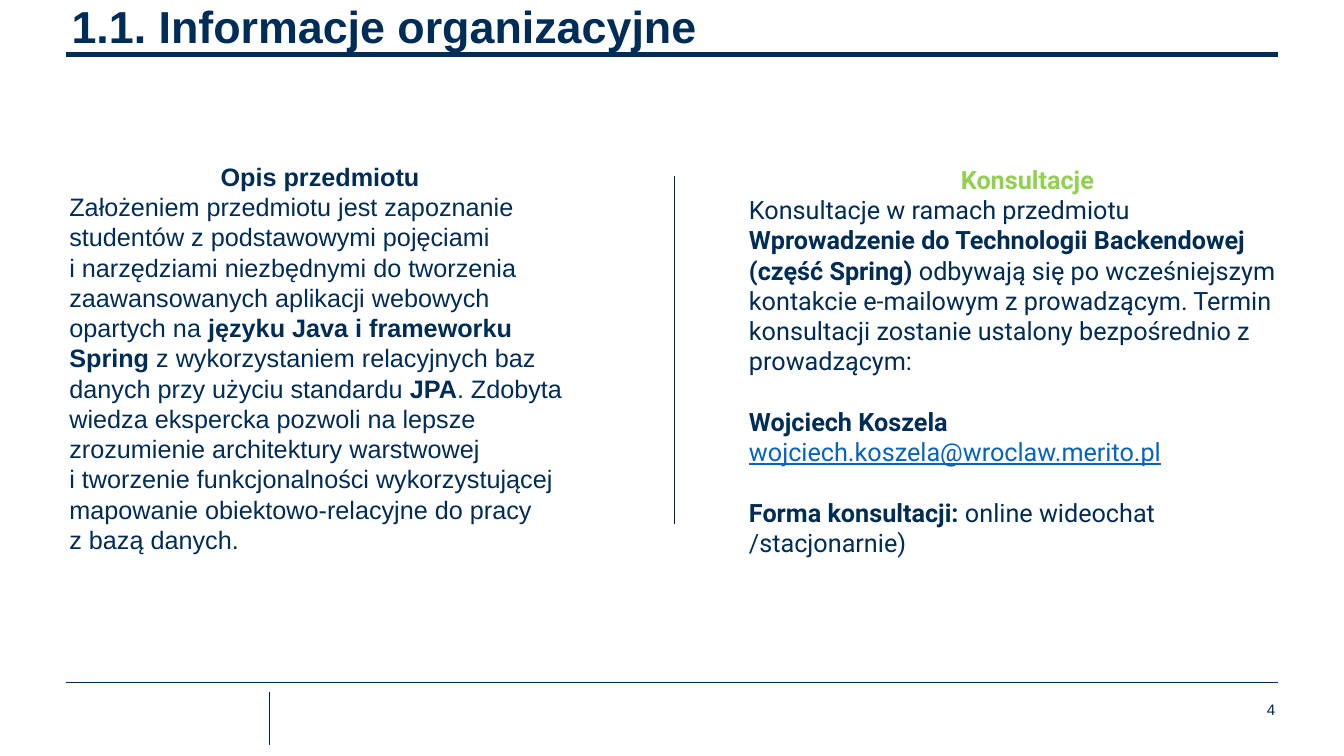
import pptx
import pptx.util
import pptx.dml.color
import pptx.enum.shapes
import pptx.enum.text
import pptx.oxml.ns
import lxml.etree

Inches = pptx.util.Inches
Pt = pptx.util.Pt
ALIGN = pptx.enum.text.PP_ALIGN
ANCHOR = pptx.enum.text.MSO_ANCHOR

COLORS = {
    "navy": "002C58",
    "divider": "002142",
    "green": "92D050",
    "address": "0563C1",
}


def color(name):
    return pptx.dml.color.RGBColor.from_string(COLORS[name])


def add_text(para, text, font="Arial", size=18, ink="navy", bold=False, underline=False):
    for index, line in enumerate(text.split("\n")):
        if index:
            para.add_line_break()
        span = para.add_run()
        span.text = line
        span.font.name = font
        span.font.size = Pt(size)
        span.font.bold = bold
        span.font.underline = underline
        span.font.color.rgb = color(ink)


class SlideBuilder:
    def __init__(self, page, font="Arial"):
        self.page = page
        self.font = font

    def line(self, x1, y1, x2, y2, ink="navy", width=0.75):
        connector = self.page.shapes.add_connector(
            pptx.enum.shapes.MSO_CONNECTOR.STRAIGHT,
            Inches(x1), Inches(y1), Inches(x2), Inches(y2))
        connector.line.color.rgb = color(ink)
        connector.line.width = Pt(width)
        properties = connector._element.spPr
        lxml.etree.SubElement(properties, pptx.oxml.ns.qn("a:effectLst"))

    def text(self, left, top, width, height, paragraphs, font=None,
             inset=(0, 0), anchor=ANCHOR.TOP, line_spacing=None):
        box = self.page.shapes.add_textbox(
            Inches(left), Inches(top), Inches(width), Inches(height))
        frame = box.text_frame
        frame.word_wrap = True
        frame.vertical_anchor = anchor
        frame.margin_left = frame.margin_right = Inches(inset[0])
        frame.margin_top = frame.margin_bottom = Inches(inset[1])
        for index, (align, gap, spans) in enumerate(paragraphs):
            para = frame.add_paragraph() if index else frame.paragraphs[0]
            para.alignment = align
            if gap:
                para.space_before = Pt(gap)
            if line_spacing:
                para.line_spacing = line_spacing
            for text, style in spans:
                add_text(para, text, font=font or self.font, **style)

    def column(self, left, top, width, height, paragraphs, font=None):
        self.text(left, top, width, height, paragraphs, font, inset=(0.1, 0.05))


def main():
    deck = pptx.Presentation()
    deck.slide_width = Inches(13.33)
    deck.slide_height = Inches(7.5)
    slide = SlideBuilder(deck.slides.add_slide(deck.slide_layouts[6]))

    plain = {}
    bold = {"bold": True}
    blank_line = 21.6

    slide.line(0.65, 6.77, 12.68, 6.77)
    slide.line(0.65, 0.54, 12.68, 0.54, width=4)
    slide.text(11.96, 6.95, 0.69, 0.18, [(ALIGN.RIGHT, 0, [("4", {"size": 10.9})])])
    slide.text(0.71, 0.04, 11.44, 0.49,
               [(ALIGN.LEFT, 0, [("1.1. Informacje organizacyjne", {"size": 32, "bold": True})])],
               anchor=ANCHOR.BOTTOM, line_spacing=0.9)

    slide.column(0.59, 1.55, 5.17, 4.04, [
        (ALIGN.CENTER, 0, [("Opis przedmiotu", bold)]),
        (ALIGN.LEFT, 0, [
            ("Założeniem przedmiotu jest zapoznanie studentów z podstawowymi pojęciami\n"
             "i narzędziami niezbędnymi do tworzenia zaawansowanych aplikacji webowych "
             "opartych na ", plain),
            ("języku Java i frameworku Spring ", bold),
            ("z wykorzystaniem relacyjnych baz danych przy użyciu standardu ", plain),
            ("JPA", bold),
            (". Zdobyta wiedza ekspercka pozwoli na lepsze zrozumienie architektury "
             "warstwowej\ni tworzenie funkcjonalności wykorzystującej mapowanie "
             "obiektowo-relacyjne do pracy\nz bazą danych.", plain),
        ]),
    ])

    slide.column(7.33, 1.58, 5.72, 4.34, [
        (ALIGN.CENTER, 0, [("Konsultacje", {"ink": "green", "bold": True})]),
        (ALIGN.LEFT, 0, [
            ("Konsultacje w ramach przedmiotu\n", plain),
            ("Wprowadzenie do Technologii Backendowej (część Spring) ", bold),
            ("odbywają się po wcześniejszym kontakcie e-mailowym z prowadzącym. "
             "Termin konsultacji zostanie ustalony bezpośrednio z prowadzącym:", plain),
        ]),
        (ALIGN.LEFT, blank_line, [
            ("Wojciech Koszela ", bold),
            ("wojciech.koszela@wroclaw.merito.pl", {"ink": "address", "underline": True}),
        ]),
        (ALIGN.LEFT, blank_line, [
            ("Forma konsultacji:", bold),
            (" online wideochat /stacjonarnie)", plain),
        ]),
    ], font="Roboto")

    slide.line(6.69, 1.75, 6.69, 5.2, ink="divider")
    slide.line(2.67, 6.87, 2.67, 7.39, ink="divider")
    deck.save("out.pptx")


if __name__ == "__main__":
    main()
